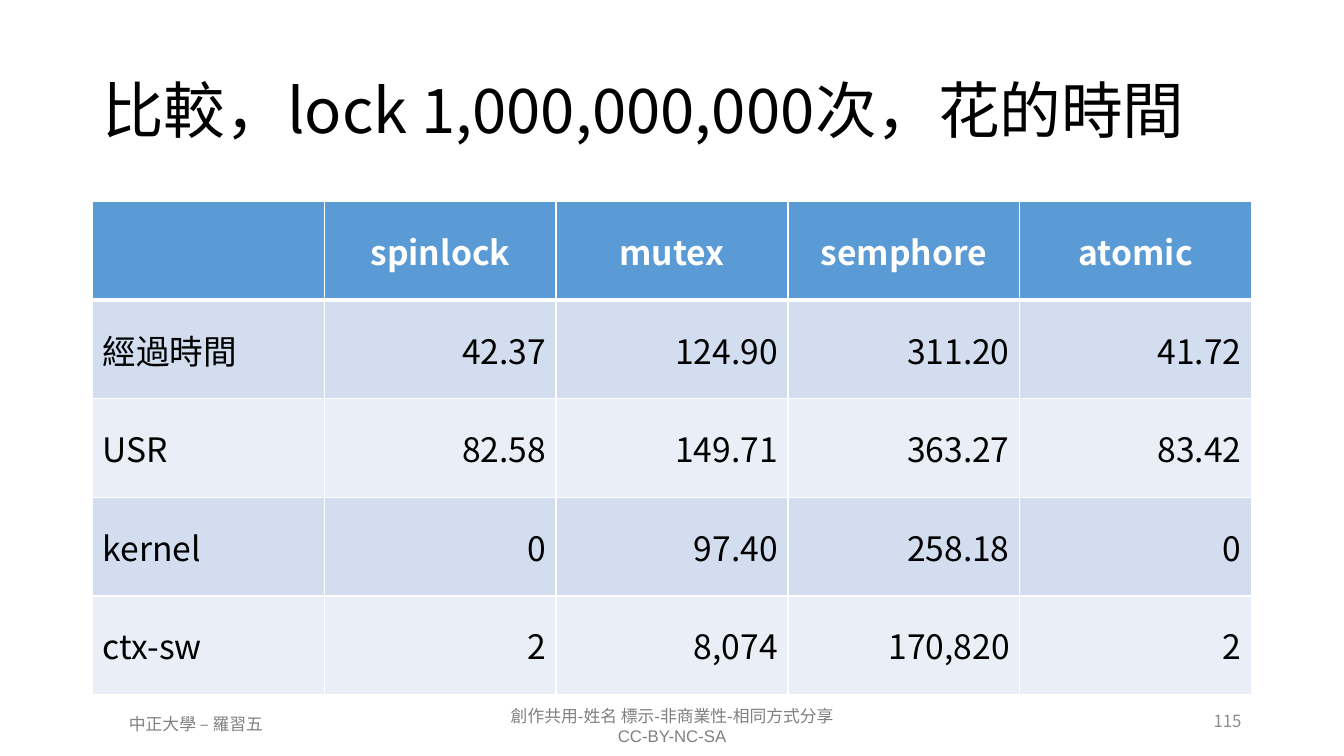
import dataclasses

import lxml.etree
import pptx
import pptx.dml.color
import pptx.enum.text
import pptx.oxml.ns
import pptx.slide
import pptx.table
import pptx.text.text
import pptx.util

Align = pptx.enum.text.PP_ALIGN
Anchor = pptx.enum.text.MSO_ANCHOR


@dataclasses.dataclass(frozen=True)
class Theme:
    font: str = "Noto Sans CJK TC"
    footer_font: str = "Arial"
    black: str = "000000"
    white: str = "FFFFFF"
    footer_gray: str = "808080"
    number_gray: str = "8C8C8C"
    header_fill: str = "5B9BD5"
    band_fills: tuple[str, str] = ("D2DEEF", "EAEFF7")
    title_size: int = 44
    table_size: int = 24
    footer_size: int = 12
    thin_border: int = 1
    thick_border: int = 3


THEME = Theme()


@dataclasses.dataclass(frozen=True)
class TextStyle:
    size: int
    color: str
    align: Align
    font: str = THEME.font
    bold: bool = False
    line_spacing: float = 1.0


@dataclasses.dataclass(frozen=True)
class Label:
    text: str
    left: float
    top: float
    width: float
    height: float
    style: TextStyle
    anchor: Anchor = Anchor.MIDDLE


TITLE_STYLE = TextStyle(THEME.title_size, THEME.black, Align.LEFT, line_spacing=0.9)
FOOTER_STYLE = TextStyle(
    THEME.footer_size, THEME.footer_gray, Align.CENTER, THEME.footer_font
)
NUMBER_STYLE = TextStyle(THEME.footer_size, THEME.number_gray, Align.RIGHT)
HEADER_STYLE = TextStyle(THEME.table_size, THEME.white, Align.CENTER, bold=True)
NAME_STYLE = TextStyle(THEME.table_size, THEME.black, Align.LEFT)
VALUE_STYLE = TextStyle(THEME.table_size, THEME.black, Align.RIGHT)

LABELS = (
    Label("創作共用-姓名 標示-非商業性-相同方式分享\nCC-BY-NC-SA",
          10.69, 17.65, 12.5, 1.27, FOOTER_STYLE, Anchor.TOP),
    Label("中正大學 – 羅習五", 1.75, 17.86, 6.38, 0.76, FOOTER_STYLE, Anchor.TOP),
    Label("比較，lock 1,000,000,000次，花的時間",
          2.33, 1.02, 29.21, 3.68, TITLE_STYLE),
    Label("115", 23.92, 17.65, 7.62, 1.02, NUMBER_STYLE),
)

TIMINGS = (
    ("", "spinlock", "mutex", "semphore", "atomic"),
    ("經過時間", "42.37", "124.90", "311.20", "41.72"),
    ("USR", "82.58", "149.71", "363.27", "83.42"),
    ("kernel", "0", "97.40", "258.18", "0"),
    ("ctx-sw", "2", "8,074", "170,820", "2"),
)


def rgb(color: str) -> pptx.dml.color.RGBColor:
    return pptx.dml.color.RGBColor.from_string(color)


def format_text(frame: pptx.text.text.TextFrame, style: TextStyle) -> None:
    for para in frame.paragraphs:
        para.alignment = style.align
        para.line_spacing = style.line_spacing
        para.font.size = pptx.util.Pt(style.size)
        for span in para.runs:
            span.font.size = pptx.util.Pt(style.size)
            span.font.name = style.font
            span.font.bold = style.bold
            span.font.color.rgb = rgb(style.color)
            east_asian = lxml.etree.Element(pptx.oxml.ns.qn("a:ea"), typeface=THEME.font)
            span.font._element.find(pptx.oxml.ns.qn("a:latin")).addnext(east_asian)


def add_label(page: pptx.slide.Slide, label: Label) -> None:
    box = page.shapes.add_textbox(
        pptx.util.Cm(label.left), pptx.util.Cm(label.top),
        pptx.util.Cm(label.width), pptx.util.Cm(label.height),
    )
    frame = box.text_frame
    frame.word_wrap = True
    frame.vertical_anchor = label.anchor
    frame.text = label.text
    format_text(frame, label.style)


def add_borders(cell: pptx.table._Cell, top: int, bottom: int) -> None:
    properties = cell._tc.get_or_add_tcPr()
    widths = {"L": THEME.thin_border, "R": THEME.thin_border, "T": top, "B": bottom}
    for side, width in widths.items():
        line = lxml.etree.SubElement(
            properties, pptx.oxml.ns.qn(f"a:ln{side}"), w=str(pptx.util.Pt(width))
        )
        fill = lxml.etree.SubElement(line, pptx.oxml.ns.qn("a:solidFill"))
        lxml.etree.SubElement(fill, pptx.oxml.ns.qn("a:srgbClr"), val=THEME.white)


def fill_cell(cell: pptx.table._Cell, text: str, row: int, column: int) -> None:
    add_borders(
        cell,
        THEME.thick_border if row == 1 else THEME.thin_border,
        THEME.thick_border if row == 0 else THEME.thin_border,
    )
    cell.fill.solid()
    cell.fill.fore_color.rgb = rgb(
        THEME.header_fill if row == 0 else THEME.band_fills[(row - 1) % 2]
    )
    cell.vertical_anchor = Anchor.MIDDLE
    cell.text_frame.text = text
    body_style = NAME_STYLE if column == 0 else VALUE_STYLE
    format_text(cell.text_frame, HEADER_STYLE if row == 0 else body_style)


def add_timings(page: pptx.slide.Slide) -> None:
    table = page.shapes.add_table(
        len(TIMINGS), len(TIMINGS[0]),
        pptx.util.Cm(2.33), pptx.util.Cm(5.08),
        pptx.util.Cm(29.21), pptx.util.Cm(12.42),
    ).table
    table.horz_banding = False
    for row, texts in enumerate(TIMINGS):
        for column, text in enumerate(texts):
            fill_cell(table.cell(row, column), text, row, column)


def main() -> None:
    deck = pptx.Presentation()
    deck.slide_width = pptx.util.Cm(33.87)
    deck.slide_height = pptx.util.Cm(19.05)
    page = deck.slides.add_slide(deck.slide_layouts[6])
    for label in LABELS:
        add_label(page, label)
    add_timings(page)
    deck.save("out.pptx")


if __name__ == "__main__":
    main()
